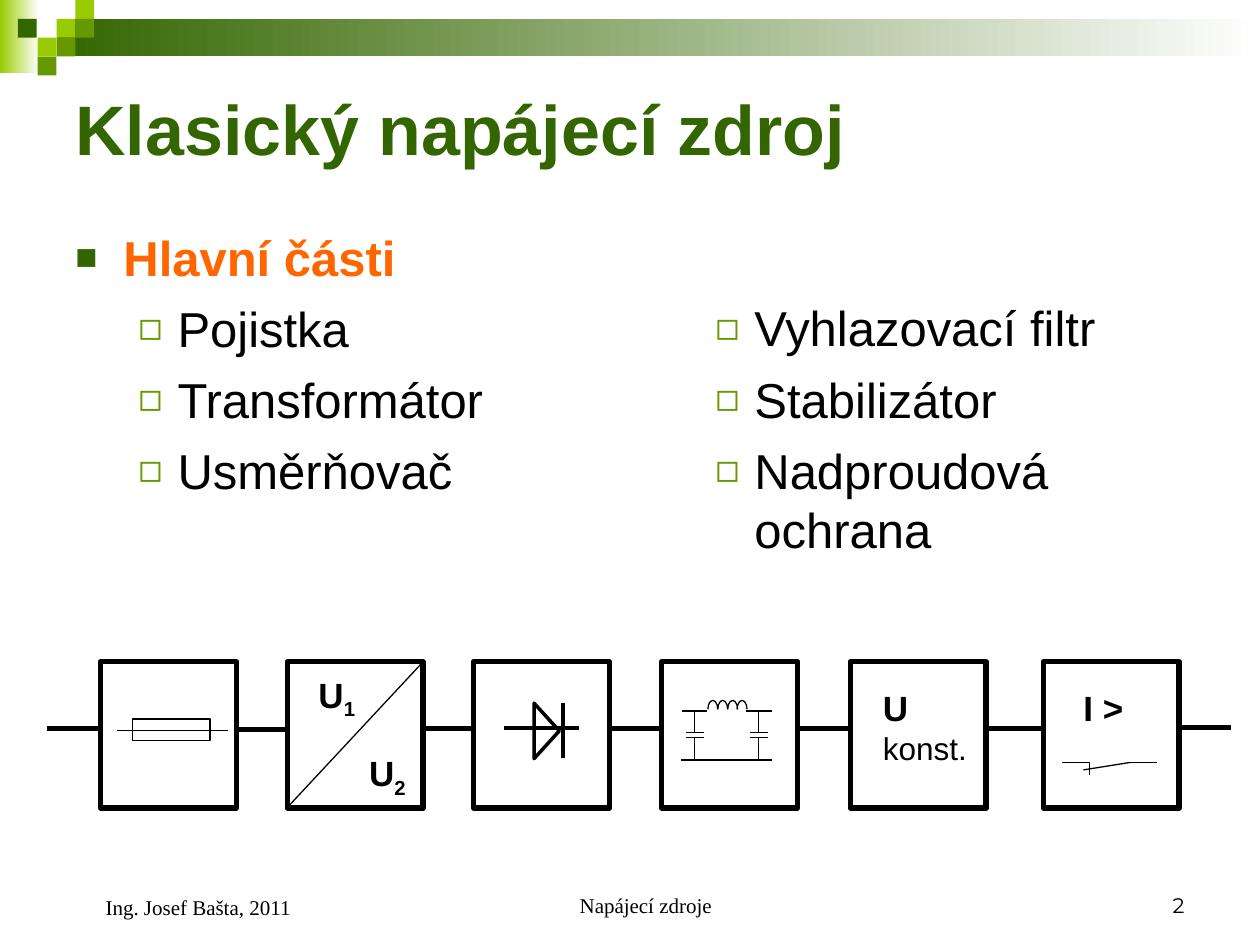
import pptx
import pptx.util
import pptx.dml.color
import pptx.enum.shapes
import pptx.enum.text
import lxml.etree

# Content, lengths in inches
DARK, MID, LIME, ORANGE, BLACK = "336600", "669900", "99CC00", "FF6600", "000000"
SANS, SERIF = "Arial", "Times New Roman"

TITLE = "Klasický napájecí zdroj"
HEAD = "Hlavní části"
LEFT = ["Pojistka", "Transformátor", "Usměrňovač"]
RIGHT = ["Vyhlazovací filtr", "Stabilizátor", "Nadproudová ochrana"]

FADES = [(0, 0, 0.31, 0.58, LIME), (0.45, 0.15, 9.55, 0.3, DARK)]
TILES = [(0.45, 0.15, LIME), (0.6, 0, LIME), (0.6, 0.15, MID), (0.3, 0.3, LIME),
         (0.14, 0.15, DARK), (0.45, 0.3, MID), (0.3, 0.45, MID)]

BLOCKS = [0.8, 2.28, 3.76, 5.25, 6.75, 8.28]
TOP, WIDE, HIGH = 5.25, 1.08, 1.16
WIRES = [(0.37, 5.78), (1.87, 5.79), (3.35, 5.78), (4.84, 5.78),
         (6.34, 5.78), (7.84, 5.78), (9.35, 5.77)]
WIRE = 0.42

# Text in the blocks: left, top, width, height, lines of (text, sub, size, bold)
LABELS = [
    (2.43, 5.34, 0.57, 0.48, [("U", "1", 20, True)]),
    (2.83, 5.96, 0.65, 0.48, [("U", "2", 20, True)]),
    (6.91, 5.4, 1, 0.74, [("U", "", 20, True), ("konst.", "", 18, False)]),
    (8.5, 5.4, 1, 0.77, [("I >", "", 20, True)]),
]

# Symbol strokes: x1, y1, x2, y2
DIODE = [(4, 5.78, 4.6, 5.78), (4.47, 5.58, 4.47, 6.02)]
SWITCH = [(8.43, 6.05, 8.65, 6.05), (8.96, 6.05, 9.18, 6.05),
          (8.65, 6.06, 8.65, 6.15), (8.6, 6.11, 8.97, 6.05)]
FILTER = [(5.41, 5.64, 5.61, 5.64), (5.92, 5.64, 6.13, 5.64), (5.4, 6.03, 6.13, 6.03)]
CAPS = [5.51, 6.02]

# Footer: left, top, width, height, text, font, align, indent
FOOT = [(3.42, 6.83, 3.17, 0.5, "Napájecí zdroje", SERIF, "CENTER", 0.24),
        (7.17, 6.83, 2.33, 0.5, "2", "Montserrat", "RIGHT", 0),
        (0.5, 6.83, 2.33, 0.52, "Ing. Josef Bašta, 2011", SERIF, "LEFT", 0.24)]

Pt = pptx.util.Pt
KIND = pptx.enum.shapes.MSO_SHAPE
ALIGN = pptx.enum.text.PP_ALIGN
ANCHOR = pptx.enum.text.MSO_ANCHOR


def cm(inch):
    return pptx.util.Cm(round(inch * 2.54, 2))


def hue(code):
    return pptx.dml.color.RGBColor.from_string(code)


def sub(node, tag, **attrs):
    return lxml.etree.SubElement(node, pptx.oxml.ns.qn(tag), attrs)


deck = pptx.Presentation()
deck.slide_width, deck.slide_height = cm(10), cm(7.5)
slide = deck.slides.add_slide(deck.slide_layouts[6])
shapes = slide.shapes


def shape(x, y, w, h, kind=KIND.RECTANGLE, fill=None, line=None):
    item = shapes.add_shape(kind, cm(x), cm(y), cm(w), cm(h))
    item.shadow.inherit = False
    if fill:
        item.fill.solid()
        item.fill.fore_color.rgb = hue(fill)
    else:
        item.fill.background()
    if line:
        item.line.color.rgb = hue(BLACK)
        item.line.width = Pt(line)
    else:
        item.line.fill.background()
    return item


def stroke(x1, y1, x2, y2, width=0.75):
    item = shapes.add_connector(pptx.enum.shapes.MSO_CONNECTOR.STRAIGHT,
                                cm(x1), cm(y1), cm(x2), cm(y2))
    item.line.color.rgb = hue(BLACK)
    item.line.width = Pt(width)
    sub(item._element.spPr, "a:effectLst")


def box(x, y, w, h, lines, anchor=ANCHOR.TOP):
    frame = shapes.add_textbox(cm(x), cm(y), cm(w), cm(h)).text_frame
    frame.word_wrap = True
    frame.vertical_anchor = anchor
    frame.text = "\n".join(lines)
    return frame.paragraphs


def style(run, size, color=BLACK, bold=False, face=SANS):
    run.font.size, run.font.bold, run.font.name = Pt(size), bold, face
    run.font.color.rgb = hue(color)


def bullet(para, sign, color, size, left, hang):
    props = para._p.get_or_add_pPr()
    props.set("marL", str(cm(left)))
    props.set("indent", str(-cm(hang)))
    sub(sub(props, "a:buClr"), "a:srgbClr", val=color)
    sub(props, "a:buSzPct", val=str(size * 1000))
    sub(props, "a:buFont", typeface=SANS)
    sub(props, "a:buChar", char=sign)


def column(x, y, lines):
    for place, para in enumerate(box(x, y, 4.42, 3.2, lines)):
        head = para.text == HEAD
        if head:
            bullet(para, "■", DARK, 75, 0.38, 0.38)
        else:
            bullet(para, "◻", MID, 80, 0.81, 0.31)
        para.line_spacing = Pt(33.7)
        if place:
            para.space_before = Pt(7)
        style(para.runs[0], 28, ORANGE if head else BLACK, head)


# Corner decoration
for x, y, w, h, color in FADES:
    fade = shape(x, y, w, h).fill
    fade.gradient()
    fade.gradient_angle = 0
    for stop, code in zip(fade.gradient_stops, (color, "FFFFFF")):
        stop.color.rgb = hue(code)
for x, y, color in TILES:
    shape(x, y, 0.15, 0.15, fill=color)

# Title and two columns, the right one starting a line lower
style(box(0.5, 0.5, 9, 1.03, [TITLE], ANCHOR.MIDDLE)[0].runs[0], 40, DARK, True)
column(0.5, 1.75, [HEAD] + LEFT)
column(5.08, 1.75 + 0.565, RIGHT)

# Block chain
for x in BLOCKS:
    shape(x, TOP, WIDE, HIGH, line=3)
for x, y in WIRES:
    stroke(x, y, x + WIRE, y, 3)

# Fuse, transformer, diode, switch
shape(1.05, 5.71, 0.62, 0.17, line=1)
stroke(0.93, 5.8, 1.81, 5.8)
stroke(BLOCKS[1], TOP + HIGH, BLOCKS[1] + WIDE, TOP)
for ends in DIODE:
    stroke(*ends, 2)
shape(4.12, 5.7, 0.44, 0.2, KIND.ISOSCELES_TRIANGLE, line=2).rotation = 90
for ends in SWITCH + FILTER:
    stroke(*ends)

# Filter coil and capacitors
for turn in range(4):
    arc = shape(5.62 + turn * 0.077, 5.56, 0.08, 0.14, KIND.ARC, line=0.75)
    arc.adjustments[0], arc.adjustments[1] = 108, 0
for x in CAPS:
    stroke(x, 5.64, x, 5.81)
    stroke(x, 5.86, x, 6.03)
    for y in (5.81, 5.85):
        stroke(x - 0.07, y, x + 0.08, y)

# Block labels
for x, y, w, h, lines in LABELS:
    paras = box(x, y, w, h, [line[0] for line in lines])
    for para, (_, low, size, bold) in zip(paras, lines):
        para.line_spacing = Pt(size * 1.2)
        if low:
            run = para.add_run()
            run.text = low
            run._r.get_or_add_rPr().set("baseline", "-25000")
        for run in para.runs:
            style(run, size, bold=bold)

# Footer
for x, y, w, h, text, face, align, left in FOOT:
    para = box(x, y, w, h, [text], ANCHOR.BOTTOM)[0]
    para.alignment = ALIGN[align]
    para._p.get_or_add_pPr().set("marL", str(cm(left)))
    style(para.runs[0], 12, face=face)

deck.save("out.pptx")
